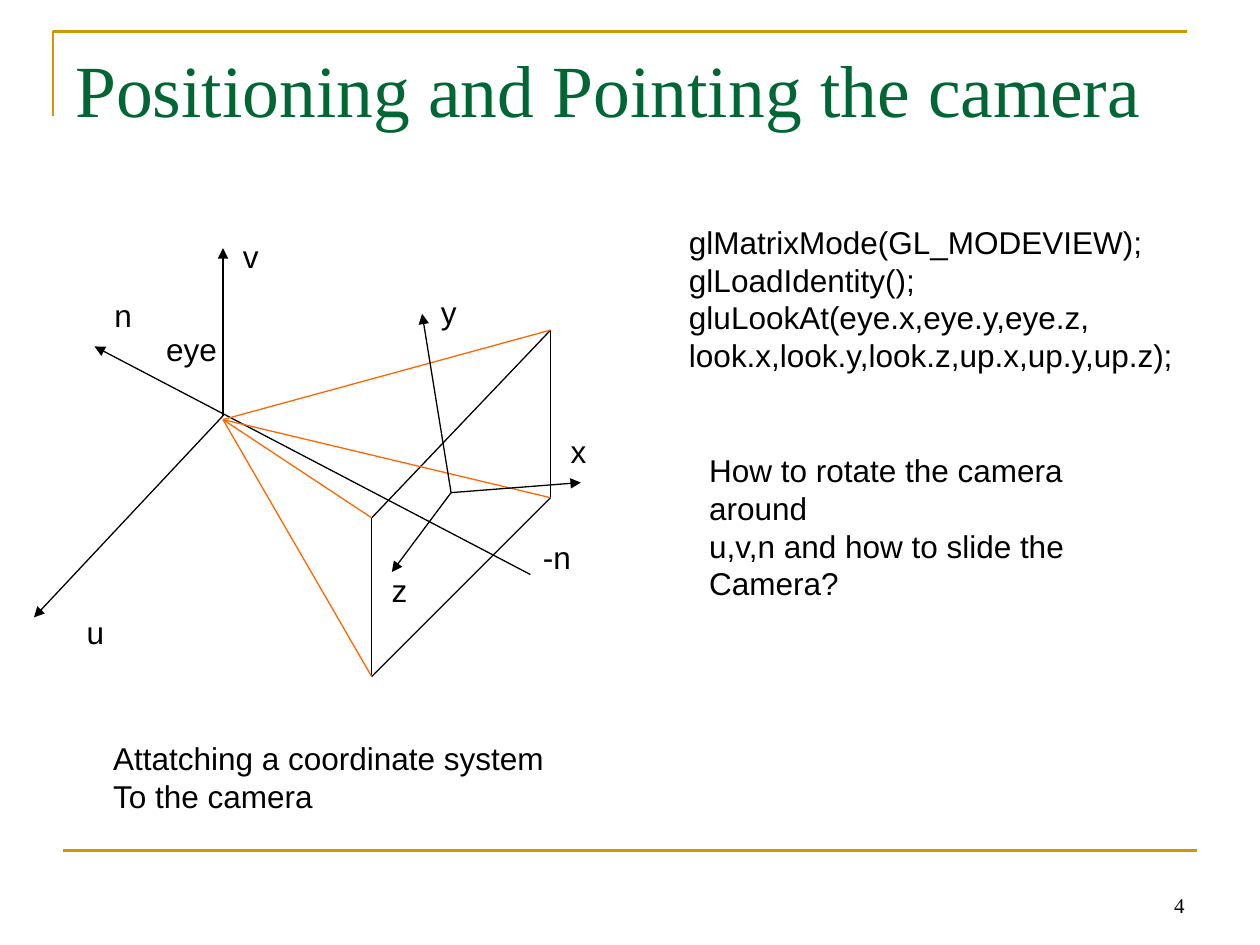
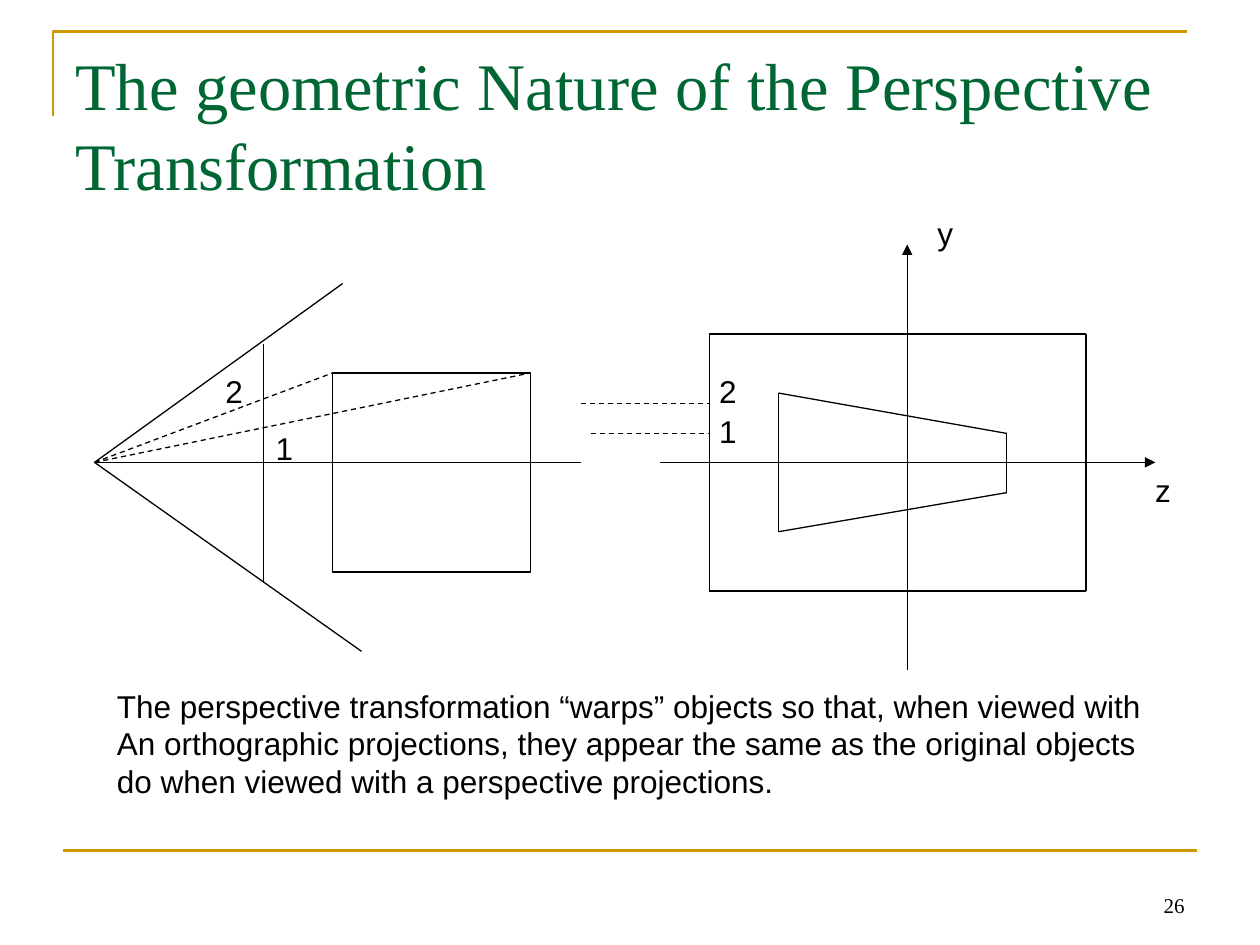
from dataclasses import dataclass
from itertools import pairwise
from typing import Any

from lxml.etree import SubElement
from pptx import Presentation
from pptx.dml.color import RGBColor as Rgb
from pptx.enum.dml import MSO_LINE as Dash
from pptx.enum.shapes import MSO_CONNECTOR as Link, MSO_SHAPE as Kind
from pptx.enum.text import MSO_ANCHOR as Anchor, MSO_AUTO_SIZE as Fit, PP_ALIGN as Align
from pptx.oxml.ns import qn
from pptx.util import Pt

PX = 9144
HEX = {"ink": "000000", "gold": "CC9900", "green": "006633", "ray": "FF6600"}
Point = tuple[int, int]


@dataclass(frozen=True)
class Trace:
    """A chain of straight lines through points."""
    points: tuple[Point, ...]
    color: str = "ink"
    weight: float = 0.75
    dash: bool = False
    arrow: bool = False


@dataclass(frozen=True)
class Note:
    """A text box with one paragraph per line."""
    box: tuple[int, int, int, int]
    lines: tuple[str, ...]
    size: int = 18
    font: str = "Arial"
    color: str = "ink"
    wrap: bool = False
    align: Align = Align.LEFT
    anchor: Anchor = Anchor.TOP


@dataclass(frozen=True)
class Page:
    """The content of one slide."""
    title: str
    size: int
    number: int
    traces: tuple[Trace, ...]
    notes: tuple[Note, ...]
    boxes: tuple[tuple[int, int, int, int], ...] = ()


def fan(hub: Point, *tips: Point, **look: Any) -> tuple[Trace, ...]:
    """Return one trace from the hub to each tip."""
    return tuple(Trace((hub, tip), **look) for tip in tips)


def label(left: int, top: int, text: str, width: int = 32) -> Note:
    """Return a short one-line note."""
    return Note((left, top, width, 40), (text,))


def apply(target: Any, values: dict[str, Any]) -> None:
    """Set each named value on the target."""
    for name, value in values.items():
        setattr(target, name, value)


def ink(line: Any, color: str, weight: float) -> None:
    """Colour a line and set its weight."""
    line.color.rgb = Rgb.from_string(HEX[color])
    line.width = Pt(weight)


def draw(slide: Any, trace: Trace) -> None:
    """Draw each line of a trace."""
    for start, end in pairwise(trace.points):
        link = slide.shapes.add_connector(Link.STRAIGHT, *(PX * n for n in start + end))
        ink(link.line, trace.color, trace.weight)
        if trace.dash:
            link.line.dash_style = Dash.DASH
        if trace.arrow:
            SubElement(link.line._get_or_add_ln(), qn("a:tailEnd"), type="triangle")
        SubElement(link._element.spPr, qn("a:effectLst"))


def write(slide: Any, note: Note) -> None:
    """Add a note as a text box."""
    frame = slide.shapes.add_textbox(*(PX * n for n in note.box)).text_frame
    apply(frame, {
        "word_wrap": note.wrap,
        "auto_size": Fit.NONE if note.wrap else Fit.SHAPE_TO_FIT_TEXT,
        "vertical_anchor": note.anchor,
        "text": "\n".join(note.lines),
    })
    for para in frame.paragraphs:
        para.alignment = note.align
        for run in para.runs:
            apply(run.font, {"name": note.font, "size": Pt(note.size)})
            run.font.color.rgb = Rgb.from_string(HEX[note.color])


def plain(shape: Any, color: str, weight: float) -> None:
    """Leave a shape with its outline only."""
    shape.shadow.inherit = False
    shape.fill.background()
    ink(shape.line, color, weight)


def base(slide: Any, page: Page) -> None:
    """Draw the rules, title and number that slides share."""
    pen = slide.shapes.build_freeform(42, 92, scale=PX)
    pen.add_line_segments([(42, 25), (942, 25)], close=False)
    plain(pen.convert_to_shape(), "gold", 1.5)
    draw(slide, Trace(((50, 675), (950, 675)), "gold", 1.5))
    serif = {"font": "Times New Roman", "wrap": True}
    write(slide, Note((717, 683, 233, 50), (str(page.number),), 12,
                      align=Align.RIGHT, anchor=Anchor.BOTTOM, **serif))
    write(slide, Note((50, 30, 900, 125), (page.title,), page.size, color="green", **serif))


def build(deck: Any, page: Page) -> None:
    """Add one slide to the deck."""
    slide = deck.slides.add_slide(deck.slide_layouts[6])
    base(slide, page)
    for box in page.boxes:
        plain(slide.shapes.add_shape(Kind.RECTANGLE, *(PX * n for n in box)), "ink", 0.75)
    for trace in page.traces:
        draw(slide, trace)
    for note in page.notes:
        write(slide, note)


PLANE = ((437, 262), (295, 411), (295, 537), (437, 395))
CAMERA = Page(
    "Positioning and Pointing the camera", 42, 4,
    (
        *fan((177, 330), (177, 197), (27, 490), arrow=True),
        Trace(((421, 456), (75, 275)), arrow=True),
        Trace(PLANE + PLANE[:1]),
        *fan((177, 333), *PLANE, color="ray"),
        *fan((358, 391), (335, 249), (311, 454), (461, 383), arrow=True),
    ),
    (
        label(183, 183, "v"),
        label(59, 482, "u", 34),
        label(81, 230, "n", 34),
        label(122, 257, "eye", 60),
        label(421, 422, "-n", 42),
        label(340, 228, "y"),
        label(301, 448, "z"),
        label(443, 338, "x"),
        Note((537, 172, 407, 160), (
            "glMatrixMode(GL_MODEVIEW);",
            "glLoadIdentity();",
            "gluLookAt(eye.x,eye.y,eye.z,",
            "look.x,look.y,look.z,up.x,up.y,up.z);",
        )),
        Note((80, 582, 369, 70), ("Attatching a coordinate system", "To the camera")),
        Note((553, 353, 385, 100), (
            "How to rotate the camera around",
            "u,v,n and how to slide the",
            "Camera?",
        )),
    ),
)

APEX = (75, 367)
WARP = ((618, 312), (799, 344), (799, 391), (618, 422))
VIEW = ((563, 265), (862, 265), (862, 469), (563, 469))
WARPED = Page(
    "The geometric Nature of the Perspective Transformation", 38, 26,
    (
        *fan(APEX, (461, 367), (272, 225), (287, 517)),
        Trace(((209, 273), (209, 462))),
        *fan(APEX, (264, 296), (421, 296), dash=True),
        Trace(((524, 367), (917, 367)), arrow=True),
        Trace(((720, 532), (720, 194)), arrow=True),
        Trace(((461, 320), (563, 320)), dash=True),
        Trace(((469, 344), (563, 344)), dash=True),
        Trace(WARP + WARP[:1]),
        Trace(VIEW + VIEW[:1]),
    ),
    (
        label(169, 290, "2", 34),
        label(209, 336, "1", 34),
        label(561, 290, "2", 34),
        label(561, 322, "1", 34),
        label(734, 165, "y"),
        label(907, 369, "z"),
        Note((83, 540, 833, 100), (
            "The perspective transformation “warps” objects so that, when viewed with",
            "An orthographic projections, they appear the same as the original objects",
            "do when viewed with a perspective projections.",
        )),
    ),
    ((264, 296, 157, 158),),
)


def main() -> None:
    """Build and save the deck."""
    deck = Presentation()
    apply(deck, {"slide_width": 1000 * PX, "slide_height": 750 * PX})
    for page in (CAMERA, WARPED):
        build(deck, page)
    deck.save("out.pptx")


if __name__ == "__main__":
    main()
